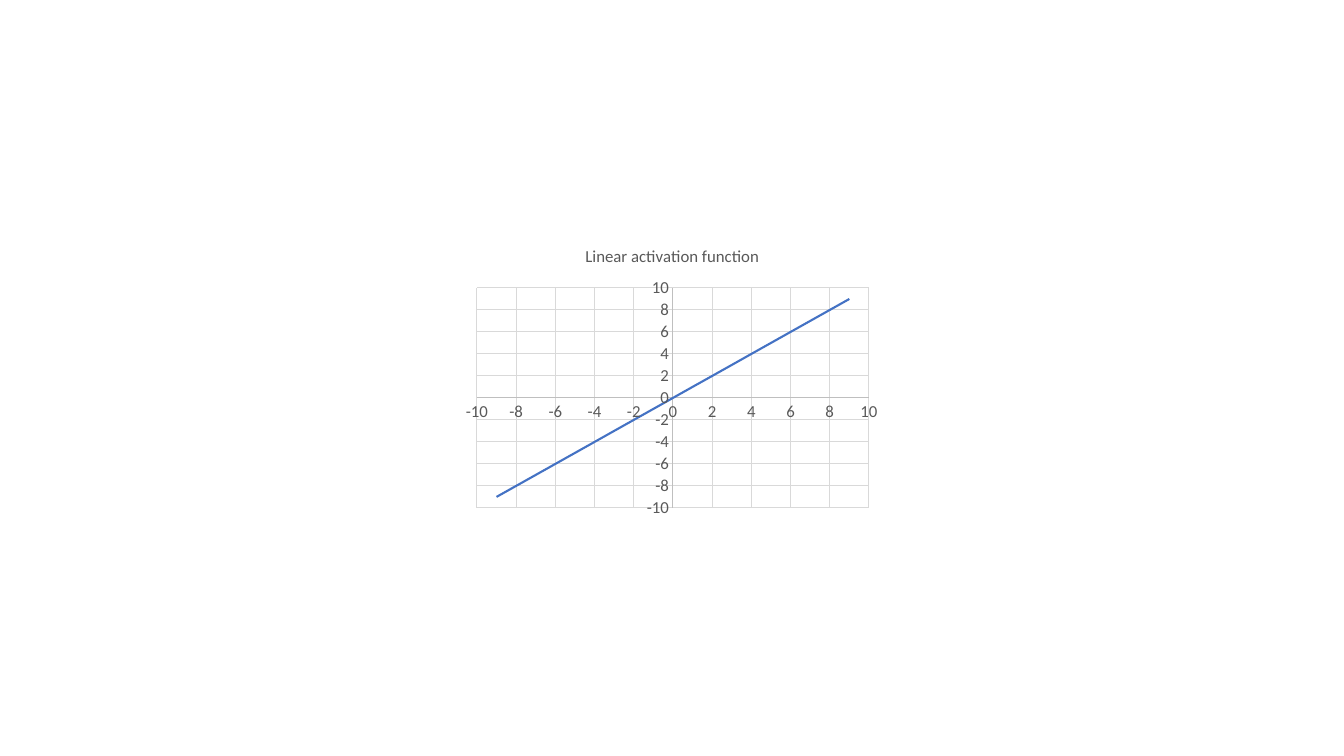
from dataclasses import dataclass

from lxml import etree
from pptx import Presentation
from pptx import util as u
from pptx.chart.data import XyChartData
from pptx.dml.color import RGBColor
from pptx.enum import chart as charts

FONT = "Calibri"
GREY_TEXT = RGBColor(0x59, 0x59, 0x59)
AXIS_GREY = RGBColor(0xBF, 0xBF, 0xBF)
GRID_GREY = RGBColor(0xD9, 0xD9, 0xD9)
LINE_BLUE = RGBColor(0x44, 0x72, 0xC4)
AXIS_LIMIT = 10


@dataclass
class Stroke:
    color: RGBColor
    width: float


AXIS_STROKE = Stroke(AXIS_GREY, 0.75)
GRID_STROKE = Stroke(GRID_GREY, 0.75)
FUNCTION_STROKE = Stroke(LINE_BLUE, 1.5)


def style_line(line, stroke: Stroke) -> None:
    line.color.rgb = stroke.color
    line.width = u.Pt(stroke.width)


def style_font(font) -> None:
    font.name = FONT
    font.size = u.Pt(12)
    font.bold = False
    font.color.rgb = GREY_TEXT


def style_axis(axis) -> None:
    axis.minimum_scale, axis.maximum_scale = -AXIS_LIMIT, AXIS_LIMIT
    axis.major_unit = 2
    axis.major_tick_mark = axis.minor_tick_mark = charts.XL_TICK_MARK.NONE
    axis.tick_label_position = charts.XL_TICK_LABEL_POSITION.NEXT_TO_AXIS
    axis.has_major_gridlines = True
    style_font(axis.tick_labels.font)
    style_line(axis.format.line, AXIS_STROKE)
    style_line(axis.major_gridlines.format.line, GRID_STROKE)


def place_plot(chart, **fractions: float) -> None:
    """Fix the inner plot area as fractions of the chart frame."""
    plot_area = chart.plots[0]._element.getparent()
    namespace = etree.QName(plot_area).namespace
    for old in plot_area.findall(f"{{{namespace}}}layout"):
        plot_area.remove(old)
    layout = etree.Element(f"{{{namespace}}}layout")
    manual = etree.SubElement(layout, f"{{{namespace}}}manualLayout")
    settings = {"layoutTarget": "inner", "xMode": "edge", "yMode": "edge", **fractions}
    for name, value in settings.items():
        etree.SubElement(manual, f"{{{namespace}}}{name}", val=str(value))
    plot_area.insert(0, layout)


# Page
deck = Presentation()
deck.slide_width, deck.slide_height = u.Pt(960), u.Pt(540)
page = deck.slides.add_slide(deck.slide_layouts[6])

# Chart data: the identity function
data = XyChartData()
points = data.add_series("Series 1")
for value in range(9, -10, -1):
    points.add_data_point(value, value)

chart = page.shapes.add_chart(
    charts.XL_CHART_TYPE.XY_SCATTER_LINES_NO_MARKERS,
    u.Pt(326.9), u.Pt(164.9), u.Pt(306.7), u.Pt(209.5), data,
).chart
chart.has_legend = False
chart.font.name = FONT
chart.font.size = u.Pt(10)

# Title
chart.has_title = True
chart.chart_title.include_in_layout = False
span = chart.chart_title.text_frame.paragraphs[0].add_run()
span.text = "Linear activation function"
style_font(span.font)

# Axes and plot area
for axis in (chart.category_axis, chart.value_axis):
    style_axis(axis)
place_plot(chart, x=0.045, y=0.195, w=0.913, h=0.75)

# Function line
plot = chart.plots[0]
plot.vary_by_categories = False
series = plot.series[0]
series.smooth = False
series.marker.style = charts.XL_MARKER_STYLE.NONE
style_line(series.format.line, FUNCTION_STROKE)

deck.save("out.pptx")
